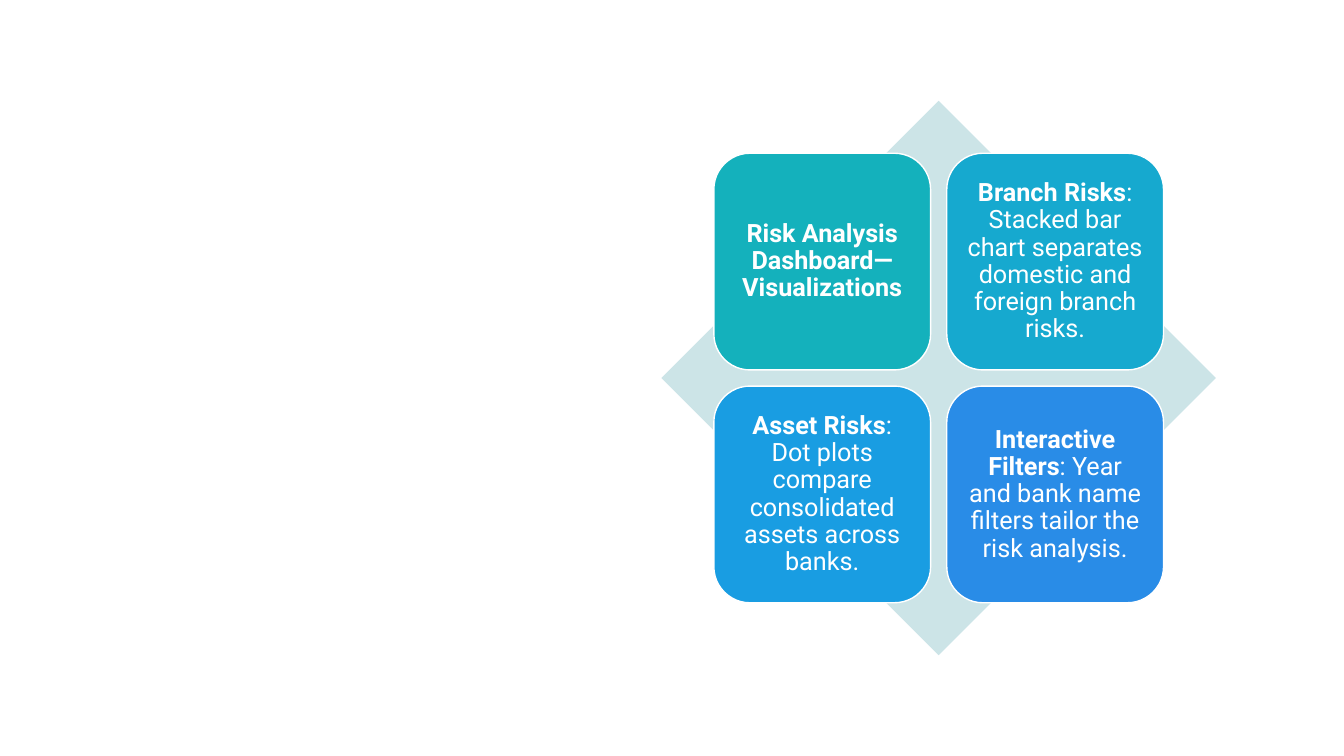
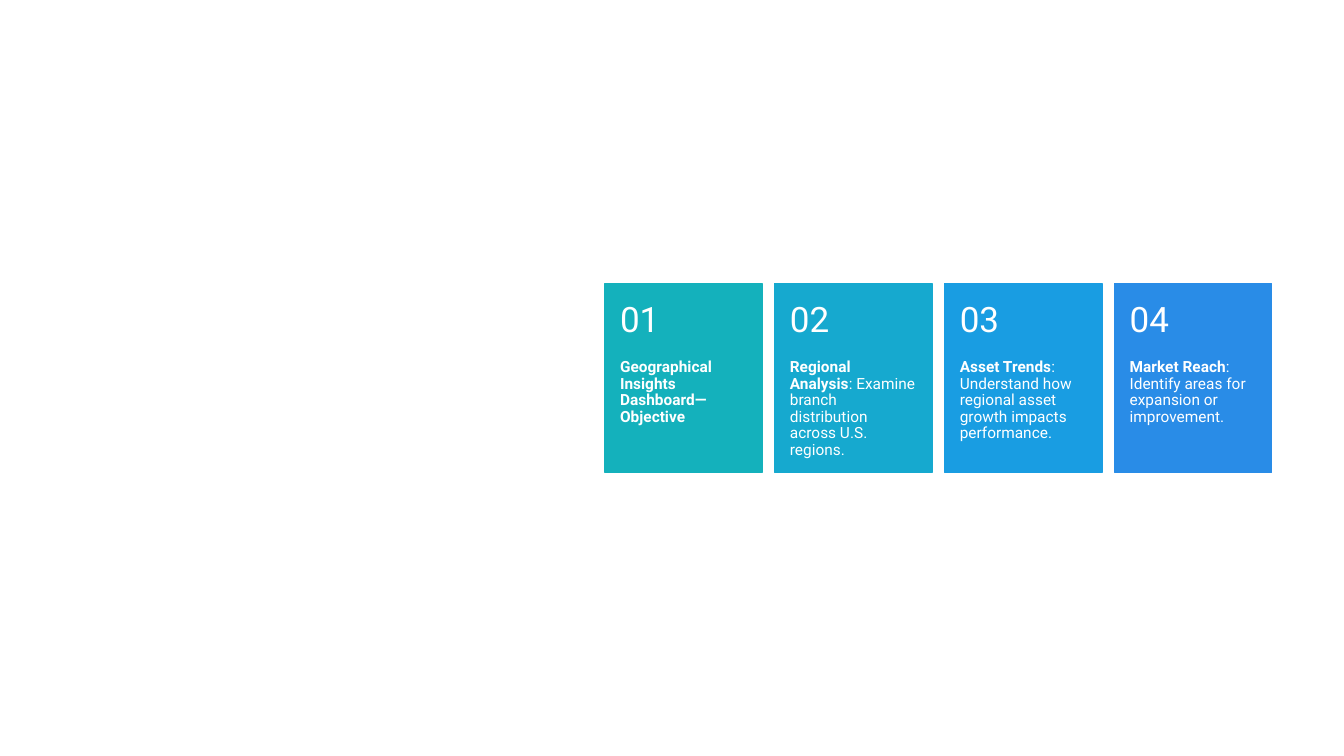
from dataclasses import dataclass

from pptx import Presentation
from pptx import util as u
from pptx.dml.color import RGBColor
from pptx.enum import shapes, text

# Shared style
FONT = "Roboto"
WHITE = RGBColor(0xFF, 0xFF, 0xFF)
PALE_TEAL = RGBColor(0xCC, 0xE4, 0xE7)
ACCENTS = (
    RGBColor(0x14, 0xB1, 0xBC),
    RGBColor(0x16, 0xA9, 0xCF),
    RGBColor(0x19, 0x9D, 0xE2),
    RGBColor(0x29, 0x8C, 0xE7),
)
SLIDE_WIDTH, SLIDE_HEIGHT = 13.33, 7.5
MIDDLE = SLIDE_HEIGHT / 2

# Diamond matrix, in inches
DIAMOND_SIZE = 5.5
DIAMOND_CENTER = 9.31
TILE_SIZE = 2.15
TILE_GAP = 0.16
TILE_COLUMNS = 2

# Numbered cards, in inches and shares of the card
CARDS_LEFT = 6.0
CARD_WIDTH = 1.56
CARD_HEIGHT = 1.2 * CARD_WIDTH
CARD_PITCH = 1.08 * CARD_WIDTH
NUMBER_SHARE = 0.4


@dataclass(frozen=True)
class Item:
    heading: str
    detail: str = ""


@dataclass(frozen=True)
class Box:
    left: float
    top: float
    width: float
    height: float

    def lengths(self) -> tuple:
        return tuple(u.Inches(n) for n in (self.left, self.top, self.width, self.height))


@dataclass(frozen=True)
class TextStyle:
    size: int
    insets: tuple[float, float, float, float]
    anchor: text.MSO_ANCHOR = text.MSO_ANCHOR.MIDDLE
    align: text.PP_ALIGN = text.PP_ALIGN.LEFT


TILE_TEXT = TextStyle(18, (0.07, 0.07, 0.07, 0.07), align=text.PP_ALIGN.CENTER)
CARD_NUMBER = TextStyle(25, (0.15, 0.18, 0.15, 0.18))
CARD_TEXT = TextStyle(11, (0.15, 0, 0.15, 0.36), anchor=text.MSO_ANCHOR.TOP)

VISUALIZATIONS = (
    Item("Risk Analysis Dashboard—Visualizations"),
    Item("Branch Risks", ": Stacked bar chart separates domestic and foreign branch risks."),
    Item("Asset Risks", ": Dot plots compare consolidated assets across banks."),
    Item("Interactive Filters", ": Year and bank name filters tailor the risk analysis."),
)
OBJECTIVES = (
    Item("Geographical Insights Dashboard—Objective"),
    Item("Regional Analysis", ": Examine branch distribution across U.S. regions."),
    Item("Asset Trends", ": Understand how regional asset growth impacts performance."),
    Item("Market Reach", ": Identify areas for expansion or improvement."),
)


def add_panel(slide, kind: shapes.MSO_SHAPE, box: Box, fill: RGBColor,
              line: RGBColor | None = None):
    """Add a filled shape, outlined only when a line colour is given."""
    shape = slide.shapes.add_shape(kind, *box.lengths())
    shape.shadow.inherit = False
    shape.fill.solid()
    shape.fill.fore_color.rgb = fill
    if line is None:
        shape.line.fill.background()
    else:
        shape.line.color.rgb = line
        shape.line.width = u.Pt(1)
    return shape


def write_text(shape, style: TextStyle, heading: str = "", detail: str = "") -> None:
    """Write a bold heading followed by plain detail in one paragraph."""
    frame = shape.text_frame
    frame.word_wrap = True
    frame.vertical_anchor = style.anchor
    (frame.margin_left, frame.margin_top,
     frame.margin_right, frame.margin_bottom) = map(u.Inches, style.insets)
    paragraph = frame.paragraphs[0]
    paragraph.alignment = style.align
    paragraph.line_spacing = 0.9
    paragraph.font.name = FONT
    paragraph.font.size = u.Pt(style.size)
    paragraph.font.color.rgb = WHITE
    for words, bold in ((heading, True), (detail, False)):
        if words:
            run = paragraph.add_run()
            run.text = words
            run.font.bold = bold


def build_matrix(slide, items: tuple[Item, ...]) -> None:
    # Diamond behind the tiles
    add_panel(slide, shapes.MSO_SHAPE.DIAMOND,
              Box(DIAMOND_CENTER - DIAMOND_SIZE / 2, MIDDLE - DIAMOND_SIZE / 2,
                  DIAMOND_SIZE, DIAMOND_SIZE), PALE_TEAL)
    # Tiles centred on the diamond
    pitch = TILE_SIZE + TILE_GAP
    reach = TILE_SIZE + TILE_GAP / 2
    for index, (item, accent) in enumerate(zip(items, ACCENTS)):
        row, column = divmod(index, TILE_COLUMNS)
        box = Box(DIAMOND_CENTER - reach + column * pitch,
                  MIDDLE - reach + row * pitch, TILE_SIZE, TILE_SIZE)
        tile = add_panel(slide, shapes.MSO_SHAPE.ROUNDED_RECTANGLE, box, accent, WHITE)
        write_text(tile, TILE_TEXT, item.heading, item.detail)


def build_cards(slide, items: tuple[Item, ...]) -> None:
    top = MIDDLE - CARD_HEIGHT / 2
    number_height = NUMBER_SHARE * CARD_HEIGHT
    for index, (item, accent) in enumerate(zip(items, ACCENTS)):
        left = CARDS_LEFT + index * CARD_PITCH
        add_panel(slide, shapes.MSO_SHAPE.RECTANGLE,
                  Box(left, top, CARD_WIDTH, CARD_HEIGHT), accent, accent)
        body = Box(left, top + number_height, CARD_WIDTH, CARD_HEIGHT - number_height)
        write_text(slide.shapes.add_textbox(*body.lengths()), CARD_TEXT,
                   item.heading, item.detail)
        number = Box(left, top, CARD_WIDTH, number_height)
        write_text(slide.shapes.add_textbox(*number.lengths()), CARD_NUMBER,
                   detail=f"{index + 1:02}")


def main() -> None:
    presentation = Presentation()
    presentation.slide_width = u.Inches(SLIDE_WIDTH)
    presentation.slide_height = u.Inches(SLIDE_HEIGHT)
    blank = presentation.slide_layouts.get_by_name("Blank")
    build_matrix(presentation.slides.add_slide(blank), VISUALIZATIONS)
    build_cards(presentation.slides.add_slide(blank), OBJECTIVES)
    presentation.save("out.pptx")


if __name__ == "__main__":
    main()
